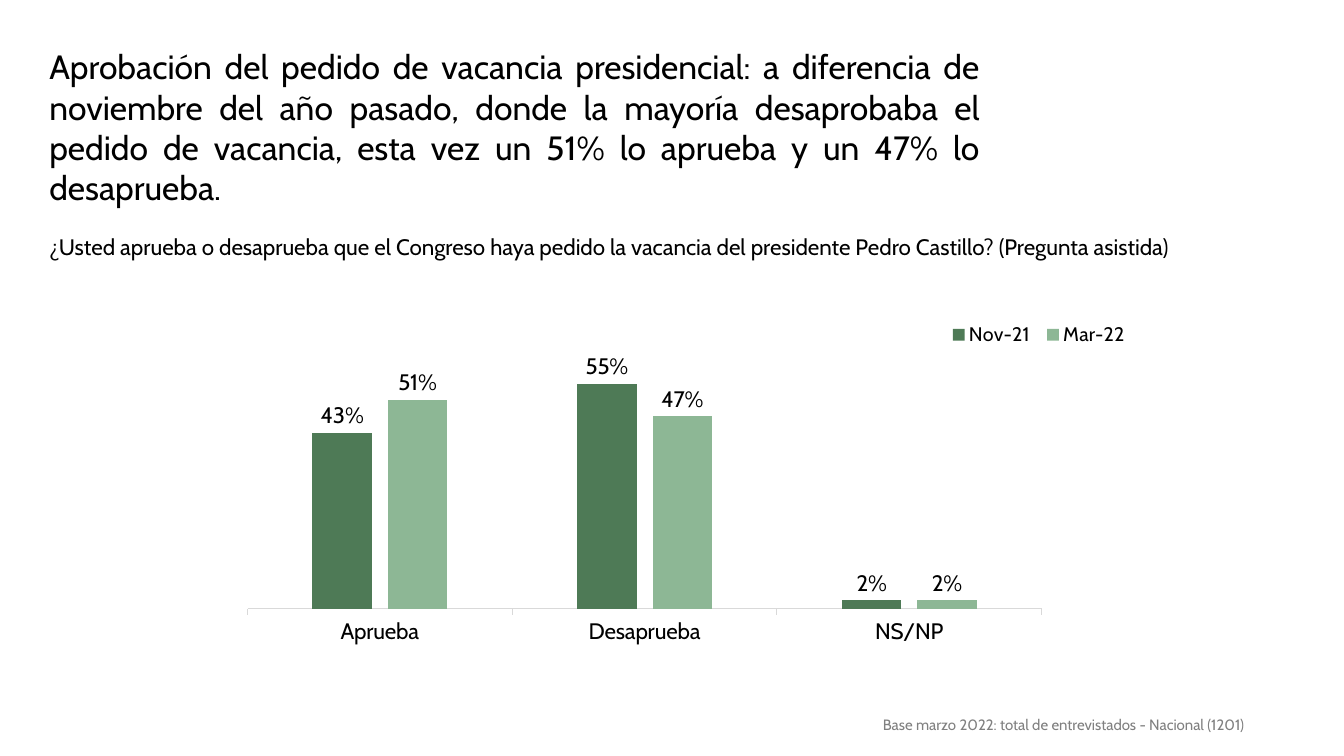
"""Build the slide on approval of the presidential vacancy request."""
from pptx import Presentation
from pptx.chart.data import CategoryChartData
from pptx.dml.color import RGBColor
from pptx.enum.chart import XL_CHART_TYPE, XL_LABEL_POSITION, XL_LEGEND_POSITION, XL_TICK_MARK
from pptx.enum.text import MSO_ANCHOR, MSO_AUTO_SIZE, PP_ALIGN
from pptx.oxml import parse_xml
from pptx.oxml.ns import nsdecls
from pptx.util import Pt

COLORS = {
    "text": "000000",
    "note": "808080",
    "axis": "D9D9D9",
    "Nov-21": "4E7A56",
    "Mar-22": "8DB795",
}
FONT = "Cabin"


def style_font(font, size, color="text"):
    font.name = FONT
    font.size = Pt(size)
    font.bold = False
    font.color.rgb = RGBColor.from_string(COLORS[color])


def make_layout(left, top, width, height, target=""):
    return parse_xml(
        f'<c:layout {nsdecls("c")}><c:manualLayout>{target}'
        '<c:xMode val="edge"/><c:yMode val="edge"/>'
        f'<c:x val="{left}"/><c:y val="{top}"/><c:w val="{width}"/><c:h val="{height}"/>'
        '</c:manualLayout></c:layout>'
    )


deck = Presentation()
deck.slide_width = Pt(960)
deck.slide_height = Pt(540)
page = deck.slides.add_slide(deck.slide_layouts[5])

title = page.shapes.title
title.left, title.top, title.width, title.height = Pt(28), Pt(29.5), Pt(679), Pt(134)
question = page.shapes.add_textbox(Pt(28), Pt(162.7), Pt(847), Pt(26.6))
note = page.shapes.add_textbox(Pt(623.5), Pt(509), Pt(302.4), Pt(18.7))

texts = [
    (title, "Aprobación del pedido de vacancia presidencial: a diferencia de noviembre del año "
     "pasado, donde la mayoría desaprobaba el pedido de vacancia, esta vez un 51% lo aprueba "
     "y un 47% lo desaprueba.", 24, "text", PP_ALIGN.JUSTIFY, 1.0),
    (question, "¿Usted aprueba o desaprueba que el Congreso haya pedido la vacancia del "
     "presidente Pedro Castillo? (Pregunta asistida)", 16, "text", PP_ALIGN.LEFT, 1.0),
    (note, "Base marzo 2022: total de entrevistados - Nacional (1201)", 10.7, "note",
     PP_ALIGN.JUSTIFY, 0.9),
]
for box, text, size, color, alignment, spacing in texts:
    frame = box.text_frame
    frame.text = text
    frame.word_wrap = True
    frame.auto_size = MSO_AUTO_SIZE.NONE
    frame.vertical_anchor = MSO_ANCHOR.TOP
    para = frame.paragraphs[0]
    para.alignment = alignment
    para.line_spacing = spacing
    style_font(para.runs[0].font, size, color)

results = CategoryChartData(number_format="0%")
results.categories = ["Aprueba", "Desaprueba", "NS/NP"]
results.add_series("Nov-21", (0.43, 0.55, 0.02))
results.add_series("Mar-22", (0.51, 0.47, 0.02))
chart = page.shapes.add_chart(
    XL_CHART_TYPE.COLUMN_CLUSTERED, Pt(165.6), Pt(220.3), Pt(658.8), Pt(250.6), results
).chart
chart.has_title = False
style_font(chart.font, 16)

plot = chart.plots[0]
plot.vary_by_categories = False
plot.gap_width = 219
plot.overlap = -27
for series in plot.series:
    series.format.fill.solid()
    series.format.fill.fore_color.rgb = RGBColor.from_string(COLORS[series.name])
    labels = series.data_labels
    labels.show_value = True
    labels.number_format = "0%"
    labels.number_format_is_linked = False
    labels.position = XL_LABEL_POSITION.OUTSIDE_END
    style_font(labels.font, 16)

answers = chart.category_axis
answers.major_tick_mark = XL_TICK_MARK.OUTSIDE
answers.format.line.color.rgb = RGBColor.from_string(COLORS["axis"])
answers.format.line.width = Pt(0.75)
style_font(answers.tick_labels.font, 16)

shares = chart.value_axis
shares.minimum_scale = 0
shares.maximum_scale = 0.6
shares.has_major_gridlines = False
shares.visible = False

chart.has_legend = True
legend = chart.legend
legend.position = XL_LEGEND_POSITION.RIGHT
legend.include_in_layout = False
style_font(legend.font, 14)

plot_area = chart.element.xpath("c:chart/c:plotArea")[0]
for old_layout in plot_area.xpath("c:layout"):
    plot_area.remove(old_layout)
plot_area.insert(0, make_layout(0.017, 0.156, 0.861, 0.7, '<c:layoutTarget val="inner"/>'))

legend_area = chart.element.xpath("c:chart/c:legend")[0]
for old_layout in legend_area.xpath("c:layout"):
    legend_area.remove(old_layout)
legend_area.insert(1, make_layout(0.77, 0.03, 0.21, 0.09))

deck.save("out.pptx")
